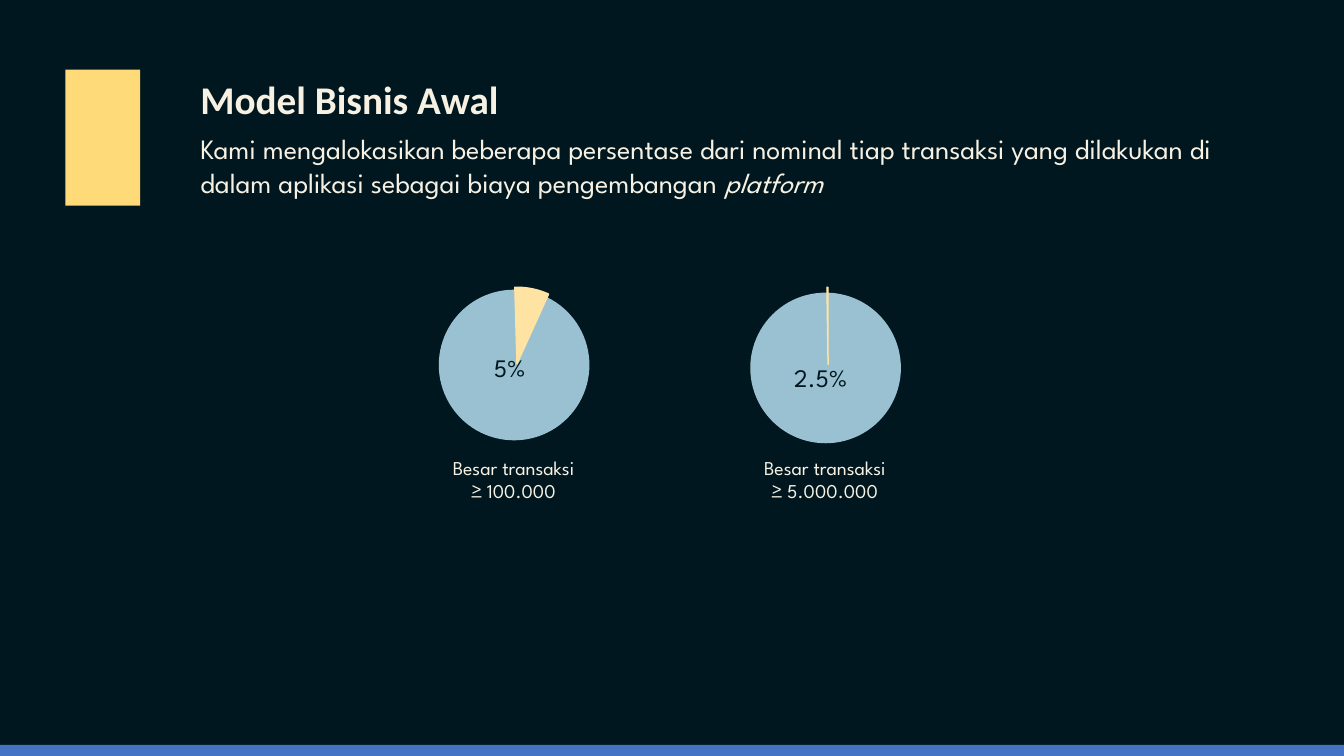
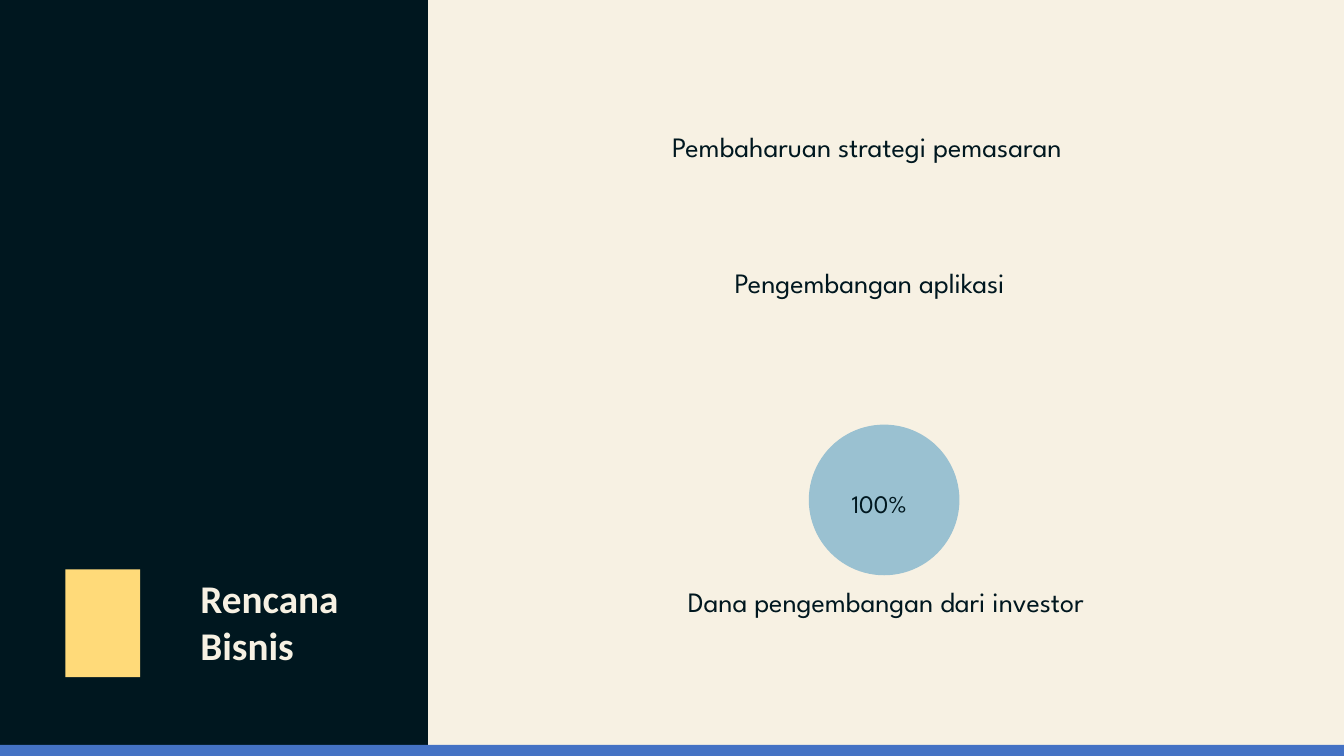
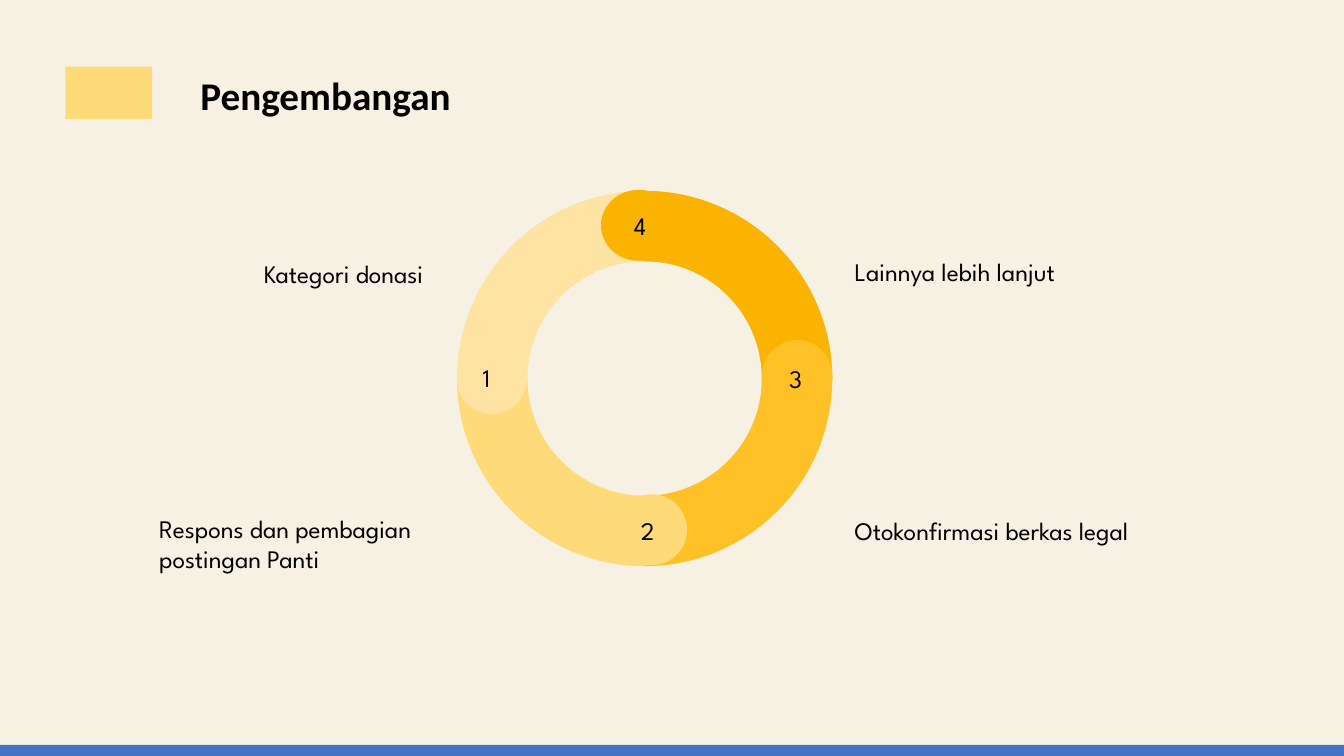
import dataclasses

import pptx
import pptx.dml.color
import pptx.enum.shapes
import pptx.enum.text
import pptx.util

Pt = pptx.util.Pt
Shape = pptx.enum.shapes.MSO_SHAPE
Align = pptx.enum.text.PP_ALIGN


@dataclasses.dataclass(frozen=True)
class Theme:
    night: str = "00171F"
    cream: str = "F7F1E3"
    black: str = "000000"
    band: str = "4472C4"
    sky: str = "9AC1D1"
    pale: str = "FFE3A3"
    yellow: str = "FFDA79"
    amber: str = "FFC125"
    gold: str = "FAB300"
    heading_font: str = "Calibri"
    body_font: str = "League Spartan"
    heading: int = 28
    body: int = 20
    label: int = 18
    caption: int = 14


THEME = Theme()
WIDTH, HEIGHT = 960, 540
MARKER_LEFT, TITLE_LEFT = 46.8, 136.1
ANGLE_UNIT = 0.6


def rgb(color):
    return pptx.dml.color.RGBColor.from_string(color)


def new_slide(deck, color):
    slide = deck.slides.add_slide(deck.slide_layouts[6])
    slide.background.fill.solid()
    slide.background.fill.fore_color.rgb = rgb(color)
    return slide


def add_figure(parent, kind, box, color, outlined=True):
    figure = parent.shapes.add_shape(kind, *map(Pt, box))
    figure.shadow.inherit = False
    figure.fill.solid()
    figure.fill.fore_color.rgb = rgb(color)
    if outlined:
        figure.line.color.rgb = rgb(color)
        figure.line.width = Pt(1)
    else:
        figure.line.fill.background()
    return figure


def add_disc(parent, left, top, size, color):
    return add_figure(parent, Shape.OVAL, (left, top, size, size), color)


def add_sector(parent, left, top, size, color, start, rotation=0):
    sector = add_figure(parent, Shape.PIE, (left, top, size, size), color)
    sector.adjustments[0] = start * ANGLE_UNIT
    sector.adjustments[1] = 270 * ANGLE_UNIT
    sector.rotation = rotation


def add_text(parent, box, lines, size, color, font=THEME.body_font,
             bold=None, wrap=False, align=Align.LEFT):
    frame = parent.shapes.add_textbox(*map(Pt, box)).text_frame
    frame.word_wrap = wrap
    frame.auto_size = pptx.enum.text.MSO_AUTO_SIZE.SHAPE_TO_FIT_TEXT
    for index, line in enumerate(lines):
        paragraph = frame.add_paragraph() if index else frame.paragraphs[0]
        paragraph.alignment = align
        for text, italic in line:
            run = paragraph.add_run()
            run.text = text
            run.font.name = font
            run.font.size = Pt(size)
            run.font.bold = bold
            run.font.italic = italic
            run.font.color.rgb = rgb(color)


def plain(*lines):
    return [[(line, None)] for line in lines]


def add_title(slide, top, width, height, lines, color, marker_size, marker_top):
    add_figure(slide, Shape.RECTANGLE,
               (MARKER_LEFT, marker_top, *marker_size), THEME.yellow, False)
    add_text(slide, (TITLE_LEFT, top, width, height), plain(*lines),
             THEME.heading, color, THEME.heading_font, bold=True)


def add_band(slide):
    add_figure(slide, Shape.RECTANGLE, (0, 532, WIDTH, 8), THEME.band, False)


def build_initial_model(deck):
    slide = new_slide(deck, THEME.night)
    add_band(slide)
    add_title(slide, 50.4, 249.1, 41, ["Model Bisnis Awal"], THEME.cream,
              (53.3, 97.2), 49.7)
    allocation = [[
        ("Kami mengalokasikan beberapa persentase dari nominal tiap transaksi "
         "yang dilakukan di dalam aplikasi sebagai biaya pengembangan ", None),
        ("platform", True),
    ]]
    add_text(slide, (TITLE_LEFT, 90.7, 746, 55.4), allocation,
             THEME.body, THEME.cream, wrap=True)

    shares = [
        ((313.9, 207.4), (314.6, 109.4, 244, 24.4), 311.8, "≥ 100.000",
         "5%", (345.6, 248.4, 42.5, 28.8)),
        ((536.4, 209.5), (536.4, 110.2, 269.2, 0), 534.2, "≥ 5.000.000",
         "2.5%", (560.2, 255.6, 58.3, 28.8)),
    ]
    for disc, (left, size, start, turn), caption_left, limit, share, box in shares:
        pie = slide.shapes.add_group_shape()
        add_disc(pie, *disc, 106.6, THEME.sky)
        add_sector(pie, left, 205.2, size, THEME.pale, start, turn)
        add_text(slide, (caption_left, 321.8, 110.2, 41),
                 plain("Besar transaksi", limit),
                 THEME.caption, THEME.cream, align=Align.CENTER)
        add_text(slide, box, plain(share), THEME.label, THEME.night)


def build_business_plan(deck):
    slide = new_slide(deck, THEME.night)
    add_title(slide, 406.8, 126, 74.9, ["Rencana", "Bisnis"], THEME.cream,
              (53.3, 77), 406.8)
    add_figure(slide, Shape.RECTANGLE, (306, 0, WIDTH - 306, HEIGHT), THEME.cream)
    add_band(slide)
    funding = slide.shapes.add_group_shape()
    add_disc(funding, 578.2, 303.8, 106.6, THEME.sky)
    add_text(funding, (468, 414, 329.8, 31.7),
             plain("Dana pengembangan dari investor"),
             THEME.body, THEME.night, align=Align.CENTER)
    add_text(funding, (601.2, 345.6, 64.1, 28.8), plain("100%"),
             THEME.label, THEME.night)
    for left, top, width, step in [
        (517.7, 185.8, 234.7, "Pengembangan aplikasi"),
        (473, 89.3, 324.7, "Pembaharuan strategi pemasaran"),
    ]:
        add_text(slide, (left, top, width, 31.7), plain(step),
                 THEME.body, THEME.night)


def build_development(deck):
    slide = new_slide(deck, THEME.cream)
    add_band(slide)
    add_title(slide, 47.5, 217.4, 41, ["Pengembangan"], THEME.black,
              (61.9, 37.4), 47.5)
    ring = slide.shapes.add_group_shape()
    for color, rotation in [(THEME.amber, 180), (THEME.yellow, 270),
                            (THEME.pale, 0), (THEME.gold, 90)]:
        add_sector(ring, 326.9, 136.8, 267.1, color, 179.75, rotation)
    add_disc(slide, 377.3, 187.2, 166.3, THEME.cream)

    for box, color in [
        ((326.9, 246.2, 49, 49), THEME.pale),
        ((545, 243.4, 49, 49), THEME.amber),
        ((429.8, 136.1, 52.6, 49.7), THEME.gold),
        ((440.6, 353.5, 49.7, 49.7), THEME.yellow),
    ]:
        add_figure(slide, Shape.OVAL, box, color)

    for number, (left, top) in enumerate(
            [(337.7, 255.6), (450.7, 364.3), (556.6, 256.3), (445.7, 146.9)], 1):
        add_text(slide, (left, top, 25.2, 28.8), plain(str(number)),
                 THEME.label, THEME.black)

    for box, lines in [
        ((181.4, 180.7, 141.1, 28.8), ["Kategori donasi"]),
        ((106.6, 362.9, 213.8, 51.1), ["Respons dan pembagian", "postingan Panti"]),
        ((603.4, 179.3, 170.6, 28.8), ["Lainnya lebih lanjut"]),
        ((603.4, 364.3, 230.4, 28.8), ["Otokonfirmasi berkas legal"]),
    ]:
        add_text(slide, box, plain(*lines), THEME.label, THEME.black)


def main():
    deck = pptx.Presentation()
    deck.slide_width, deck.slide_height = Pt(WIDTH), Pt(HEIGHT)
    build_initial_model(deck)
    build_business_plan(deck)
    build_development(deck)
    deck.save("out.pptx")


if __name__ == "__main__":
    main()
